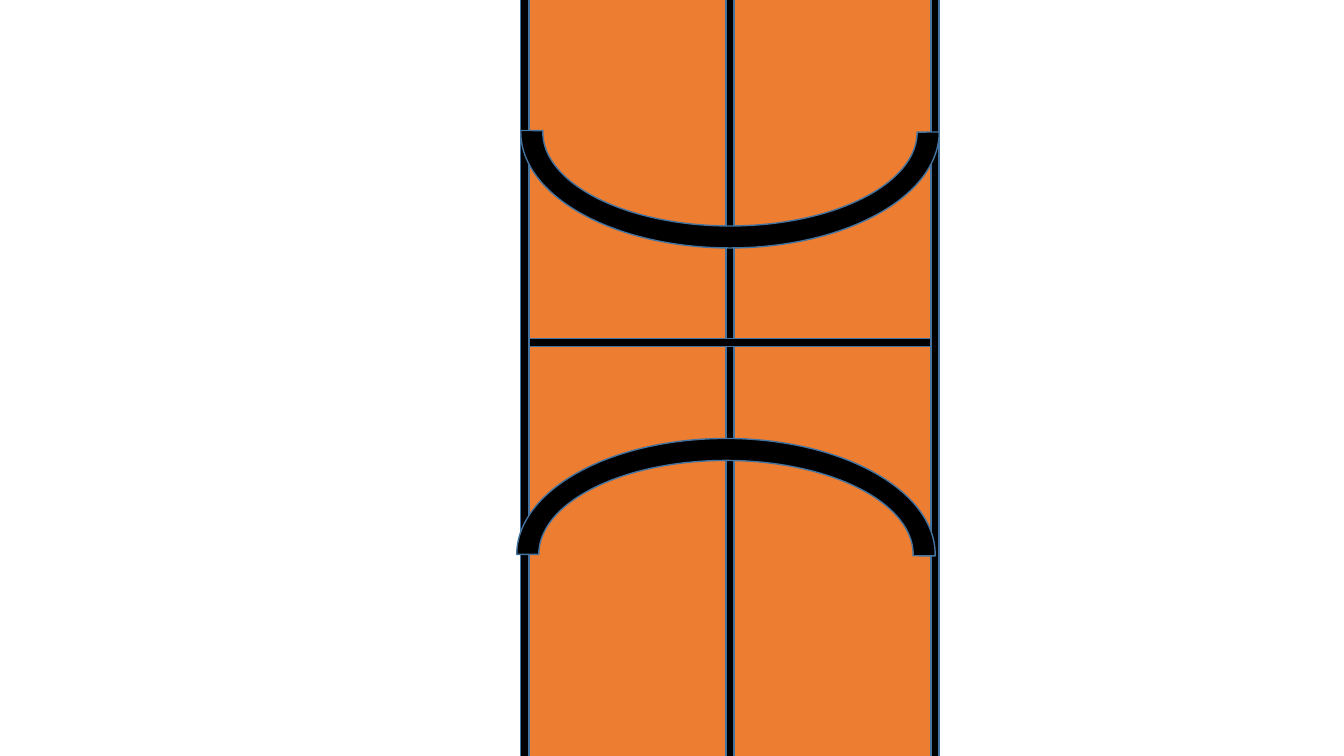
from dataclasses import dataclass

from pptx import Presentation
from pptx.dml.color import RGBColor
from pptx.enum.shapes import MSO_SHAPE
from pptx.util import Inches, Pt


@dataclass(frozen=True)
class Theme:
    """Colours and line width of the slide."""
    ball: RGBColor = RGBColor(0xED, 0x7D, 0x31)
    seam: RGBColor = RGBColor(0, 0, 0)
    outline: RGBColor = RGBColor(0x43, 0x73, 0x9E)
    outline_width: Pt = Pt(1)


THEME = Theme()


def add_part(group, preset, center, size, rotation, fill, outlined=True):
    """Add a shape around its center, given in inches, and return it."""
    (x, y), (width, height) = center, size
    part = group.shapes.add_shape(
        preset, Inches(x - width / 2), Inches(y - height / 2), Inches(width), Inches(height))
    part.rotation = rotation
    part.shadow.inherit = False
    part.fill.solid()
    part.fill.fore_color.rgb = fill
    if outlined:
        part.line.color.rgb = THEME.outline
        part.line.width = THEME.outline_width
    else:
        part.line.fill.background()
    return part


def add_ball_band(page, center, width, length):
    """Draw an upright basketball strip with straight and curved seams."""
    x, y = center
    seam = 0.08
    edge = (width - seam) / 2
    group = page.shapes.add_group_shape()
    add_part(group, MSO_SHAPE.RECTANGLE, center, (length, width), 90, THEME.ball, False)

    straight_seams = [(0, length, 90), (0, width, 180), (-edge, length, 90), (edge, length, 90)]
    for shift, extent, rotation in straight_seams:
        add_part(group, MSO_SHAPE.RECTANGLE, (x + shift, y), (extent, seam), rotation, THEME.seam)

    for shift, drop, rotation in [(0, -2.09, 180), (-0.04, 2.1, 0)]:
        arc = add_part(group, MSO_SHAPE.BLOCK_ARC, (x + shift, y + drop), (width, 2.3),
                       rotation, THEME.seam)
        for index, value in enumerate((108, 0.259, 0.095)):
            arc.adjustments[index] = value


def main():
    """Build and save the deck."""
    deck = Presentation()
    deck.slide_width, deck.slide_height = Inches(13.33), Inches(7.5)
    page = deck.slides.add_slide(deck.slide_layouts[6])
    add_ball_band(page, center=(7.24, 3.4), width=4.15, length=9.82)
    deck.save("out.pptx")


if __name__ == "__main__":
    main()
